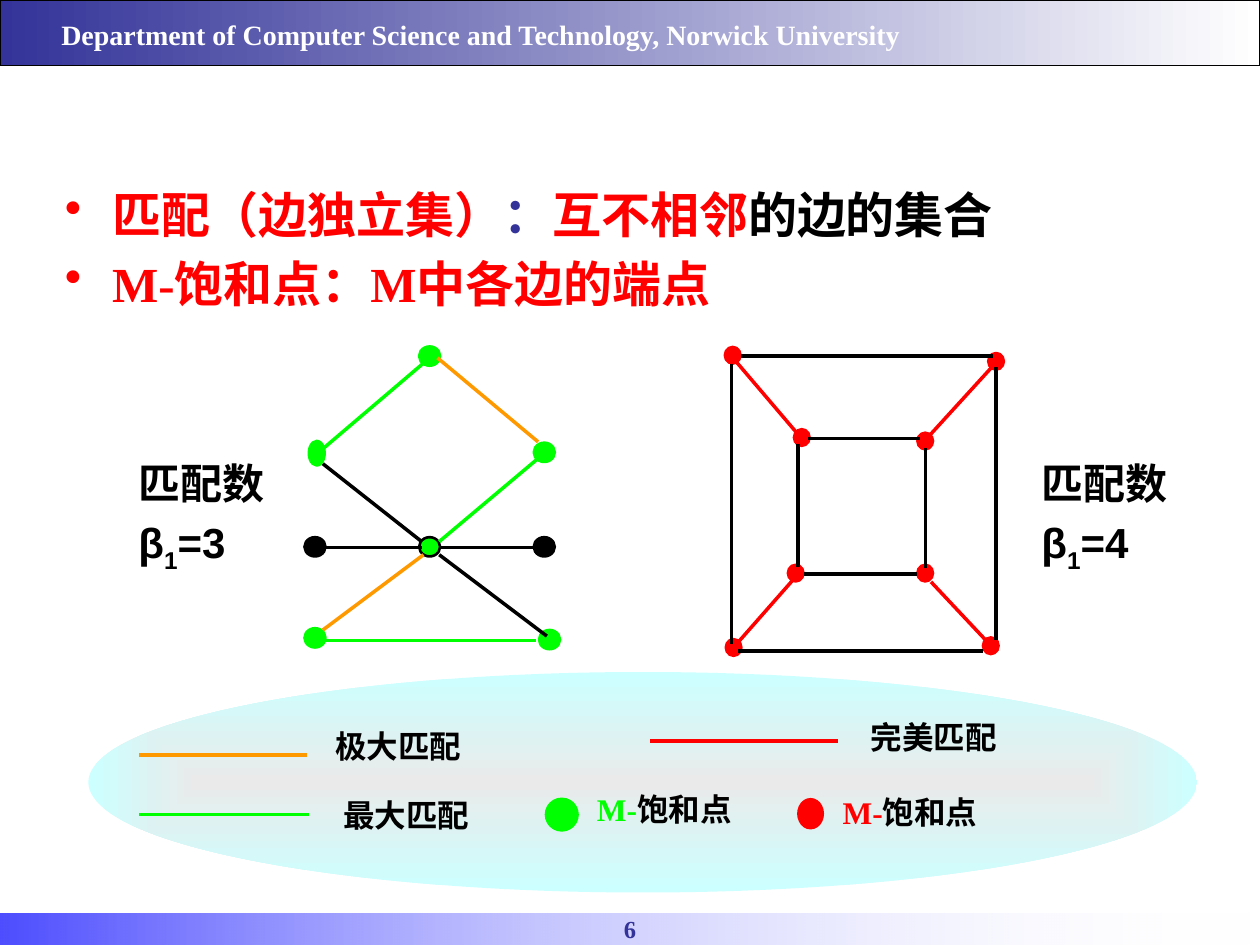
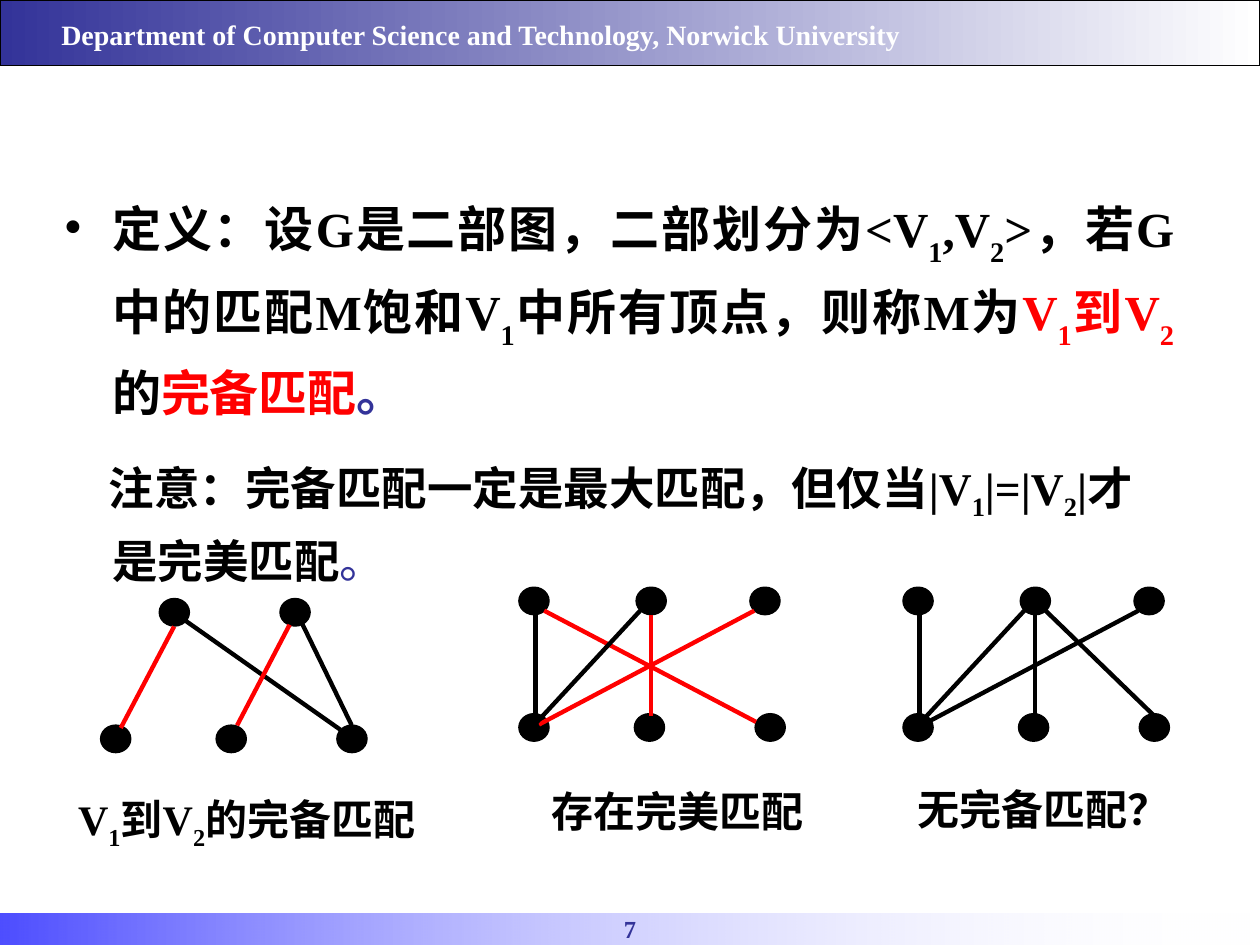
from pptx import Presentation
from pptx.dml.color import RGBColor
from pptx.enum.shapes import MSO_CONNECTOR, MSO_SHAPE
from pptx.enum.text import MSO_ANCHOR, PP_ALIGN
from pptx.oxml import parse_xml
from pptx.oxml.ns import nsdecls, qn
from pptx.util import Pt

RECT, OVAL = MSO_SHAPE.RECTANGLE, MSO_SHAPE.OVAL
NODE = MSO_SHAPE.FLOWCHART_CONNECTOR
LINE = MSO_CONNECTOR.STRAIGHT
LEFT, MID, JUST = PP_ALIGN.LEFT, PP_ALIGN.CENTER, PP_ALIGN.JUSTIFY
TOP = MSO_ANCHOR.TOP

BLACK, WHITE, NAVY = "000000", "FFFFFF", "333399"
RED, GREEN, AMBER = "FF0000", "00FF00", "FF9900"
TIMES, ARIAL = "Times New Roman", "Arial"
WIDE, HIGH = 720, 540


def paint(hue):
    return RGBColor.from_string(hue)


def shape(slide, kind, box, fill=None, edge=None, width=0.75):
    item = slide.shapes.add_shape(kind, *map(Pt, box))
    item.shadow.inherit = False
    item.fill.solid()
    if fill:
        item.fill.fore_color.rgb = paint(fill)
    if edge:
        item.line.color.rgb = paint(edge)
        item.line.width = Pt(width)
    else:
        item.line.fill.background()
    return item


def blend(item, stops, way='<a:lin ang="0" scaled="1"/>'):
    marks = "".join(
        f'<a:gs pos="{pos * 1000}"><a:srgbClr val="{hue}">'
        f'<a:alpha val="{alpha * 1000}"/></a:srgbClr></a:gs>'
        for pos, hue, alpha in stops)
    props = item._element.spPr
    props.replace(props.find(qn("a:solidFill")), parse_xml(
        f'<a:gradFill {nsdecls("a")} rotWithShape="1">'
        f'<a:gsLst>{marks}</a:gsLst>{way}</a:gradFill>'))


def line(slide, ends, hue, width):
    item = slide.shapes.add_connector(LINE, *map(Pt, ends))
    item.line.color.rgb = paint(hue)
    item.line.width = Pt(width)
    item._element.spPr.append(parse_xml(f'<a:effectLst {nsdecls("a")}/>'))


def add_run(para, words, size, font, hue, bold, base=0):
    run = para.add_run()
    run.text = words
    run.font.size = Pt(size)
    run.font.name = font
    run.font.bold = bold
    run.font.color.rgb = paint(hue)
    if base:
        run._r.get_or_add_rPr().set("baseline", str(base * 1000))


def indent(para, left, first, dot):
    props = para._p.get_or_add_pPr()
    props.set("marL", str(Pt(left)))
    props.set("indent", str(Pt(first)))
    tag = '<a:buChar {} char="•"/>' if dot else "<a:buNone {}/>"
    props.append(parse_xml(tag.format(nsdecls("a"))))


def text(slide, box, *paras, size=24, font=ARIAL, hue=BLACK, align=LEFT,
         space=None, base=-25, dent=None):
    """Each paragraph is a list of runs; "_" lowers the character after it."""
    item = slide.shapes.add_textbox(*map(Pt, box))
    frame = item.text_frame
    frame.word_wrap = True
    frame.vertical_anchor = TOP
    for row, runs in enumerate(paras):
        para = frame.paragraphs[0] if row == 0 else frame.add_paragraph()
        para.alignment = align
        if space:
            para.line_spacing = space
        if row:
            para.space_before = Pt(size * 0.2)
        if dent:
            indent(para, *dent)
        for words, *look in runs:
            form = dict(size=size, font=font, hue=hue, bold=True)
            form.update(look[0] if look else {})
            head, *rest = words.split("_")
            if head:
                add_run(para, head, **form)
            for part in rest:
                add_run(para, part[0], base=base, **form)
                if part[1:]:
                    add_run(para, part[1:], **form)


def frame_up(deck, number):
    slide = deck.slides.add_slide(deck.slide_layouts[6])
    band = shape(slide, RECT, (0, 0, WIDE, 37.5), edge=BLACK)
    blend(band, [(0, NAVY, 100), (100, WHITE, 100)])
    foot = shape(slide, RECT, (0, 522, WIDE, 18))
    blend(foot, [(0, "0000FF", 70), (100, WHITE, 0)])
    text(slide, (0, 519, WIDE, 24), [(str(number),)],
         size=14, font=TIMES, hue=NAVY, align=MID)
    text(slide, (28, 8.6, 510, 48),
         [("Department of Computer Science and Technology, "
           "Norwick University",)],
         size=16, font=TIMES, hue=WHITE, align=JUST, space=0.9)
    return slide


def graph(slide, box, dots, edges, kind=OVAL, rim=1.5, width=2):
    x, y = box[:2]
    for dx, dy, w, h, fill, edge in dots:
        shape(slide, kind, (x + dx, y + dy, w, h), fill, edge, rim)
    for hue, x1, y1, x2, y2 in edges:
        line(slide, (x + x1, y + y1, x + x2, y + y2), hue, width)


def bow(slide, box):
    dots = [(dx, dy, 12, 11, fill, edge) for dx, dy, fill, edge in (
        (65.5, 0, GREEN, GREEN), (131, 55, GREEN, GREEN),
        (65.5, 109, GREEN, BLACK), (0, 161, GREEN, GREEN),
        (134, 162, GREEN, GREEN), (0, 109, BLACK, BLACK),
        (131, 109, BLACK, BLACK))]
    dots.append((2.5, 54, 9, 14, GREEN, GREEN))
    edges = [
        (GREEN, 68, 9.5, 10.5, 58.5), (AMBER, 76, 6.5, 133.5, 54.5),
        (BLACK, 10.5, 67, 67, 111.5), (GREEN, 77, 111.5, 133.5, 64),
        (AMBER, 68, 119, 10.5, 162), (GREEN, 12, 168, 132.5, 168),
        (BLACK, 77, 119, 138.5, 165.5), (BLACK, 12, 115, 67, 115),
        (BLACK, 77, 115, 132.5, 115)]
    graph(slide, box, dots, edges)


def cube(slide, box):
    spots = [(0, 0), (0.5, 167), (147.5, 166), (150.5, 3.5),
             (39.5, 47), (110, 49), (36, 124.5), (110, 124.5)]
    dots = [(dx, dy, 9.4, 10, RED, RED) for dx, dy in spots]
    edges = [
        (BLACK, 9.5, 5.5, 153.5, 5.5), (BLACK, 8, 174, 147.5, 174),
        (BLACK, 4, 10, 4, 170), (BLACK, 155, 12, 155, 167.5),
        (BLACK, 48, 52.5, 111.5, 52.5), (BLACK, 45.5, 130, 110, 130),
        (BLACK, 42, 56, 42, 126), (BLACK, 115, 58, 115, 126.5),
        (RED, 6.5, 8.5, 41, 49), (RED, 39.5, 133, 6.5, 170.5),
        (RED, 117.5, 50.5, 153.5, 11), (RED, 118, 134.5, 149, 167.5)]
    graph(slide, box, dots, edges, rim=1)


def legend(slide, box):
    x, y = box[:2]
    plate = shape(slide, OVAL, box)
    blend(plate, [(0, "EAEAEA", 100), (100, "CCFFFF", 100)],
          '<a:path path="shape"><a:fillToRect l="50000" t="50000" '
          'r="50000" b="50000"/></a:path>')
    for hue, dx, dy, span, tx, ty, words in (
            (AMBER, 29, 47.5, 96, 134, 28, "极大匹配"),
            (GREEN, 29, 81.5, 97, 138.5, 67.5, "最大匹配"),
            (RED, 321, 39.5, 107.5, 440, 23, "完美匹配")):
        line(slide, (x + dx, y + dy, x + dx + span, y + dy), hue, 2)
        text(slide, (x + tx, y + ty, 160, 29), [(words,)], size=18)
    for hue, dx, w, h, tx, ty, rim in ((GREEN, 261.5, 18, 18, 283.5, 64, 1.5),
                                       (RED, 405.5, 14.4, 17, 424, 65.5, 1)):
        shape(slide, OVAL, (x + dx, y + 72.5, w, h), hue, hue, rim)
        text(slide, (x + tx, y + ty, 164, 29),
             [("M-", {"font": TIMES, "hue": hue}), ("饱和点",)], size=18)


def match_page(deck):
    slide = frame_up(deck, 6)
    legend(slide, (50.5, 384, 633.5, 126))
    text(slide, (30, 102, 654, 84),
         [("匹配（边独立集）",), ("：", {"hue": NAVY}), ("互不相邻",),
          ("的边的集合", {"hue": BLACK})],
         [("M-饱和点：M中各边的端点",)],
         size=28, font=TIMES, hue=RED, align=JUST, dent=(27, -27, True))
    bow(slide, (174, 198, 146, 173))
    cube(slide, (414, 198, 160, 177))
    for left, count in ((72, 3), (588, 4)):
        text(slide, (left, 258, 95, 71), [("匹配数",)], [(f"β_1={count}",)])


def pair(slide, box, tops, edges, label, shift):
    spots = [(dx, 0) for dx in tops] + [(dx, 72.3) for dx in (0, 66, 135)]
    dots = [(dx, dy, 17.3, 15.8, BLACK, BLACK) for dx, dy in spots]
    graph(slide, box, dots, edges, NODE, 0.75, 2.5)
    x, y, w, h = box
    dx, dy, span = shift
    text(slide, (x + dx, y + dy, span, 42), [(label,)],
         font=TIMES, align=MID)


def full_page(deck):
    slide = frame_up(deck, 7)
    red, navy = {"hue": RED}, {"hue": NAVY}
    look = dict(font=TIMES, space=1.2)
    text(slide, (30, 102, 648, 150),
         [("定义：设G是二部图，二部划分为<V_1,V_2>，若G中的匹配M饱和V_1"
           "中所有顶点，则称M为",), ("V_1到V_2", red), ("的",),
          ("完备匹配", red), ("。", navy)],
         size=28, align=JUST, base=-30, dent=(27, -27, True), **look)
    text(slide, (30, 252, 648, 84),
         [("注意：完备匹配一定是最大匹配，但仅当|V_1|=|V_2|才是完美匹配",),
          ("。", {"hue": NAVY, "bold": False})],
         size=26, dent=(27, -2, False), **look)

    cross = (11.5, 78.5, 134.5, 13.5)
    drop = (75.5, 16, 75.5, 73.5)
    side = (9.5, 12.5, 9.5, 75)
    slant = (9.5, 78, 73, 9.5)
    trio = (0, 67, 132)
    pair(slide, (57.5, 342, 153, 88), (33.5, 102.5),
         [(BLACK, 47.5, 12, 137, 75), (BLACK, 114, 12, 143.5, 72.5),
          (RED, 108, 15, 78, 72.5), (RED, 42, 16, 11.5, 74)],
         "V_1到V_2的完备匹配", (-39.5, 108, 246))
    pair(slide, (296.5, 335.5, 153, 88), trio,
         [(RED, *cross), (RED, 14.5, 13.5, 135.5, 77), (RED, *drop),
          (BLACK, *side), (BLACK, *slant)],
         "存在完美匹配", (-14.5, 110, 210))
    pair(slide, (516, 335.5, 153, 88), trio,
         [(BLACK, *cross), (BLACK, 81.5, 13.5, 143.5, 73.5), (BLACK, *drop),
          (BLACK, *side), (BLACK, *slant)],
         "无完备匹配？", (-24.5, 108.5, 210))


def main():
    deck = Presentation()
    deck.slide_width, deck.slide_height = Pt(WIDE), Pt(HIGH)
    match_page(deck)
    full_page(deck)
    deck.save("out.pptx")


if __name__ == "__main__":
    main()
